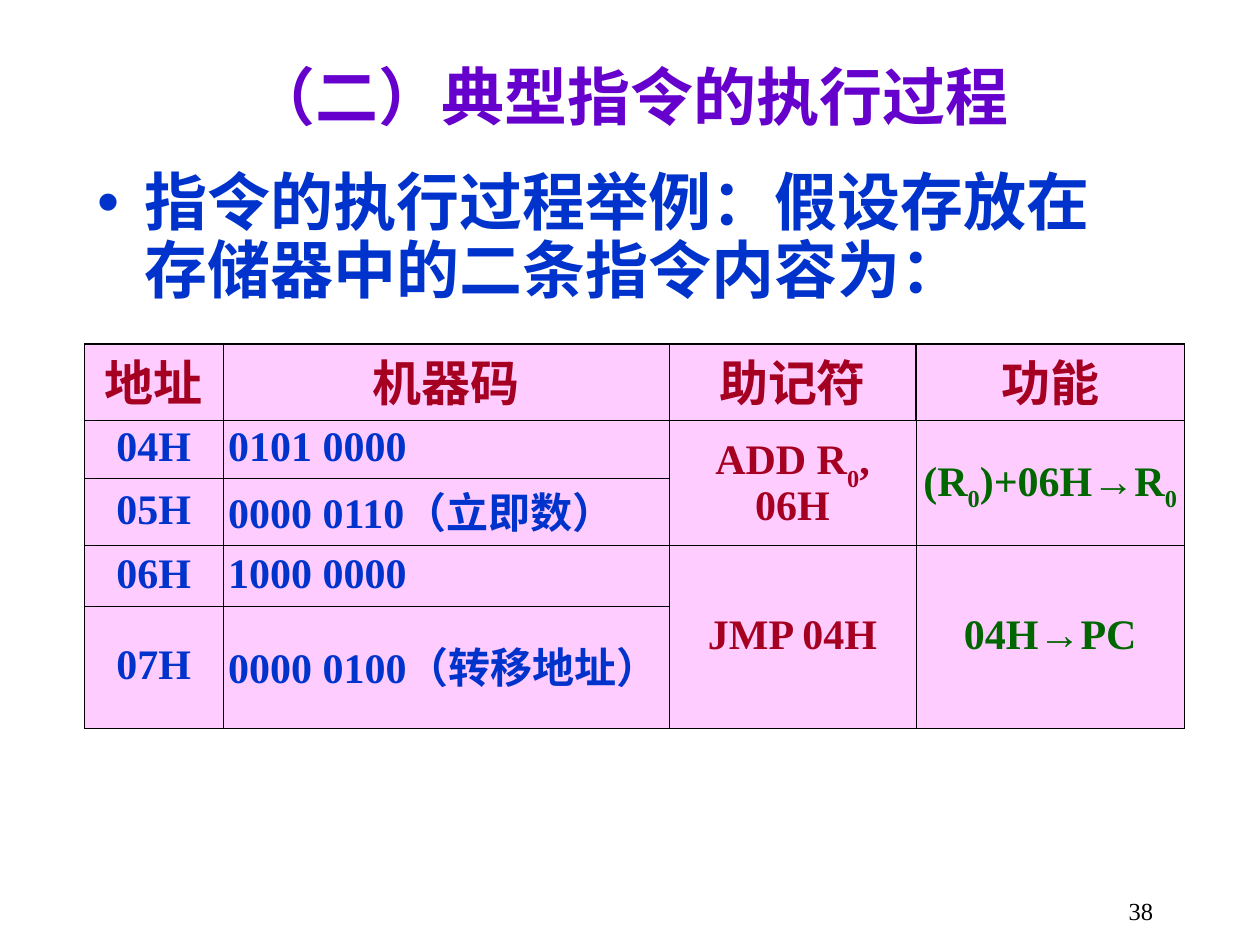
from lxml.etree import SubElement
from pptx import Presentation
from pptx.dml.color import RGBColor
from pptx.enum.text import MSO_ANCHOR, MSO_AUTO_SIZE, PP_ALIGN
from pptx.oxml import parse_xml
from pptx.oxml.ns import nsdecls, qn
from pptx.util import Inches, Pt

TITLE = "（二）典型指令的执行过程"
BODY = "指令的执行过程举例：假设存放在存储器中的二条指令内容为："
NUMBER = "38"
PURPLE, BLUE, RED, GREEN = "6600CC", "0033CC", "A50021", "006600"
BLACK, PINK = "000000", "FFCCFF"
SERIF, SANS = "Times New Roman", "Arial"

HEADERS = ["地址", "机器码", "助记符", "功能"]
CODES = [
    ("04H", "0101 0000"),
    ("05H", "0000 0110（立即数）"),
    ("06H", "1000 0000"),
    ("07H", "0000 0100（转移地址）"),
]
INSTRUCTIONS = [
    (["ADD R", ("0", -30), ", 06H"],
     ["(R", ("0", -25), ")+06H", "→", "R", ("0", -25)]),
    (["JMP 04H"], ["04H", "→", "PC"]),
]
COLUMNS = [1.1, 3.54, 1.96, 2.13]
ROWS = [0.54, 0.46, 0.45, 0.48, 0.81]
COLUMN_COLORS = [BLUE, BLUE, RED, GREEN]
THIN, THICK = 0.45, 1.08
HEADER_DIVIDER = {(0, 2, "R"), (0, 3, "L")}


def color(value):
    return RGBColor.from_string(value)


def apply(target, values):
    for name, value in values.items():
        setattr(target, name, value)


def write(para, parts, size, tint, bold=True, **layout):
    apply(para, layout)
    for part in parts:
        text, baseline = part if isinstance(part, tuple) else (part, 0)
        span = para.add_run()
        span.text = text
        apply(span.font, {"size": Pt(size), "bold": bold,
                          "name": SANS if text == "→" else SERIF})
        span.font.color.rgb = color(tint)
        if baseline:
            span.font._element.set("baseline", str(baseline * 1000))


def place(box, left, top, width, height, anchor):
    apply(box, {"left": Inches(left), "top": Inches(top),
                "width": Inches(width), "height": Inches(height)})
    apply(box.text_frame, {"word_wrap": True, "vertical_anchor": anchor,
                           "auto_size": MSO_AUTO_SIZE.NONE})
    return box.text_frame.paragraphs[0]


def add_bullet(para, tint, indent):
    properties = para._p.get_or_add_pPr()
    properties.set("marL", str(Inches(indent)))
    properties.set("indent", str(-Inches(indent)))
    bullet_color = SubElement(properties, qn("a:buClr"))
    SubElement(bullet_color, qn("a:srgbClr")).set("val", tint)
    SubElement(properties, qn("a:buChar")).set("char", "•")


def draw_borders(cell, row, column):
    last_row = row + cell.span_height - 1 if cell.is_merge_origin else row
    outer = {"L": column == 0, "R": column == len(COLUMNS) - 1,
             "T": row == 0, "B": last_row == len(ROWS) - 1}
    properties = cell._tc.get_or_add_tcPr()
    for index, (side, is_outer) in enumerate(outer.items()):
        heavy = is_outer or (row, column, side) in HEADER_DIVIDER
        properties.insert(index, parse_xml(
            f'<a:ln{side} {nsdecls("a")} w="{Pt(THICK if heavy else THIN)}">'
            f'<a:solidFill><a:srgbClr val="{BLACK}"/></a:solidFill></a:ln{side}>'))


def fill_table(table):
    for column, width in zip(table.columns, COLUMNS):
        column.width = Inches(width)
    for row, height in zip(table.rows, ROWS):
        row.height = Inches(height)

    contents = {(0, column): [text] for column, text in enumerate(HEADERS)}
    for row, code in enumerate(CODES, 1):
        contents.update({(row, column): [text] for column, text in enumerate(code)})
    for index, instruction in enumerate(INSTRUCTIONS):
        row = 1 + 2 * index
        for column, parts in enumerate(instruction, 2):
            contents[row, column] = parts
            table.cell(row, column).merge(table.cell(row + 1, column))

    for row in range(len(ROWS)):
        for column in range(len(COLUMNS)):
            cell = table.cell(row, column)
            cell.fill.solid()
            cell.fill.fore_color.rgb = color(PINK)
            draw_borders(cell, row, column)
            apply(cell, {"vertical_anchor": MSO_ANCHOR.MIDDLE,
                         "margin_left": Inches(0.04), "margin_right": Inches(0.04),
                         "margin_top": Inches(0.05), "margin_bottom": Inches(0.05)})
            if (row, column) in contents:
                header = row == 0
                left = column == 1 and not header
                write(cell.text_frame.paragraphs[0], contents[row, column],
                      28 if header else 24, RED if header else COLUMN_COLORS[column],
                      alignment=PP_ALIGN.LEFT if left else PP_ALIGN.CENTER,
                      line_spacing=0.9, space_after=Pt(7 if header else 6))


def main():
    deck = Presentation()
    apply(deck, {"slide_width": Inches(10), "slide_height": Inches(7.5)})
    page = deck.slides.add_slide(deck.slide_layouts[1])

    para = place(page.shapes.title, 0.75, 0.36, 8.5, 0.8, MSO_ANCHOR.MIDDLE)
    write(para, [TITLE], 36, PURPLE, alignment=PP_ALIGN.CENTER)

    para = place(page.placeholders[1], 0.67, 1.31, 8.5, 1.26, MSO_ANCHOR.TOP)
    add_bullet(para, BLUE, 0.38)
    write(para, [BODY], 36, BLUE, line_spacing=0.9, space_before=Pt(0), space_after=Pt(9))

    frame = page.shapes.add_table(len(ROWS), len(COLUMNS), Inches(0.67), Inches(2.73),
                                  Inches(sum(COLUMNS)), Inches(sum(ROWS)))
    fill_table(frame.table)

    number = page.shapes.add_textbox(0, 0, 0, 0)
    para = place(number, 7.17, 7.06, 2.08, 0.28, MSO_ANCHOR.TOP)
    write(para, [NUMBER], 14, BLACK, bold=False, alignment=PP_ALIGN.RIGHT)

    deck.save("out.pptx")


if __name__ == "__main__":
    main()
